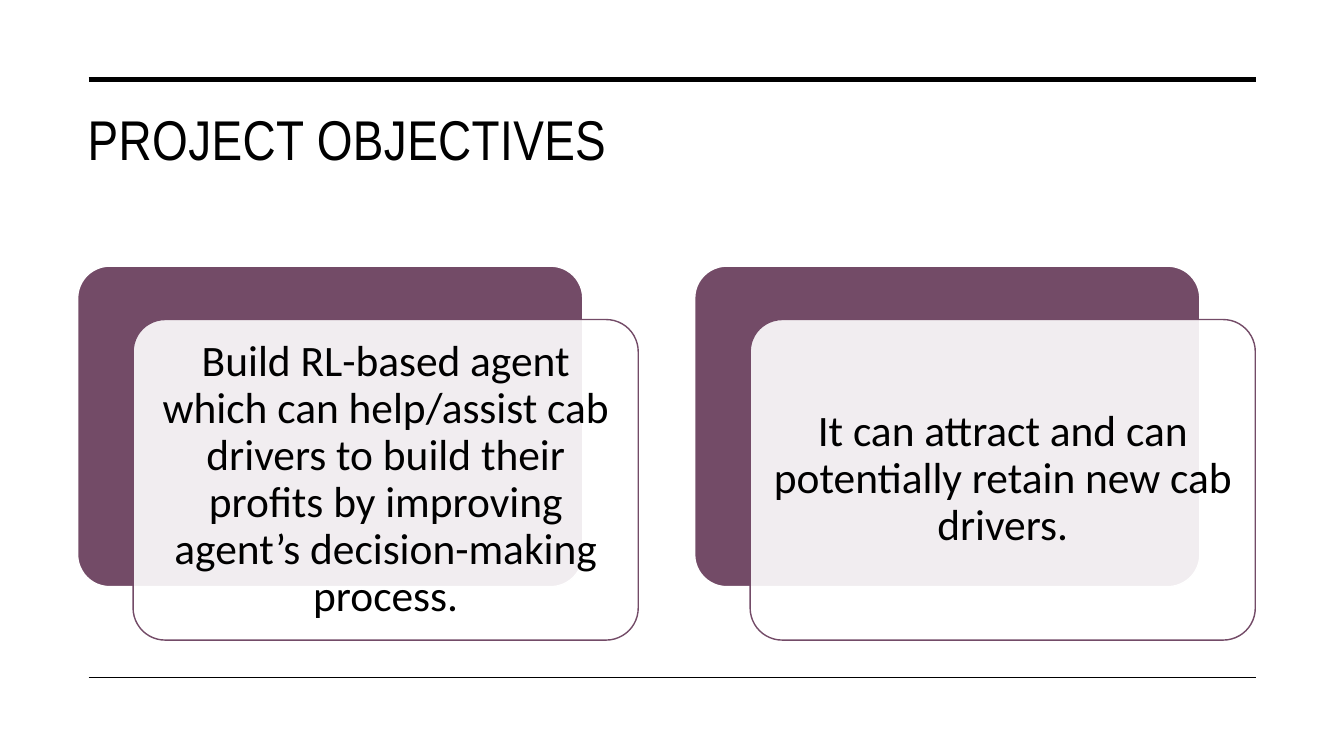
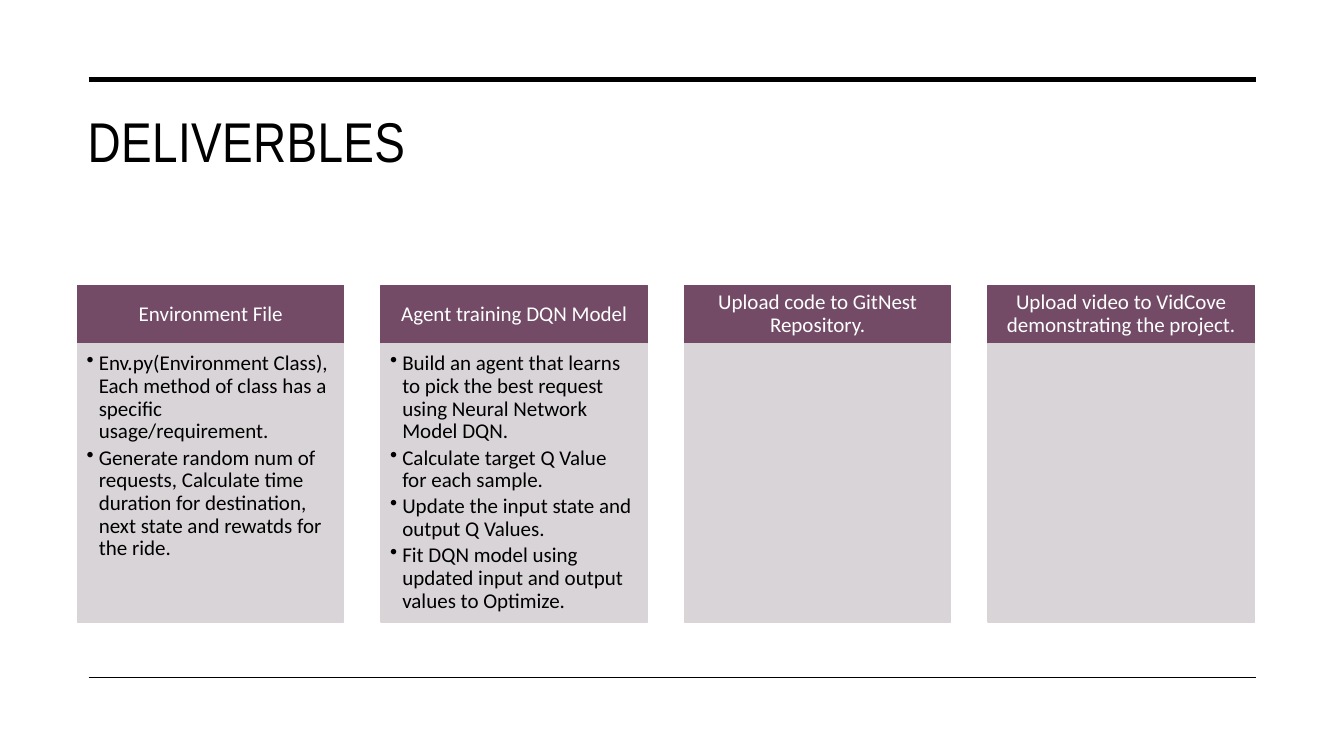
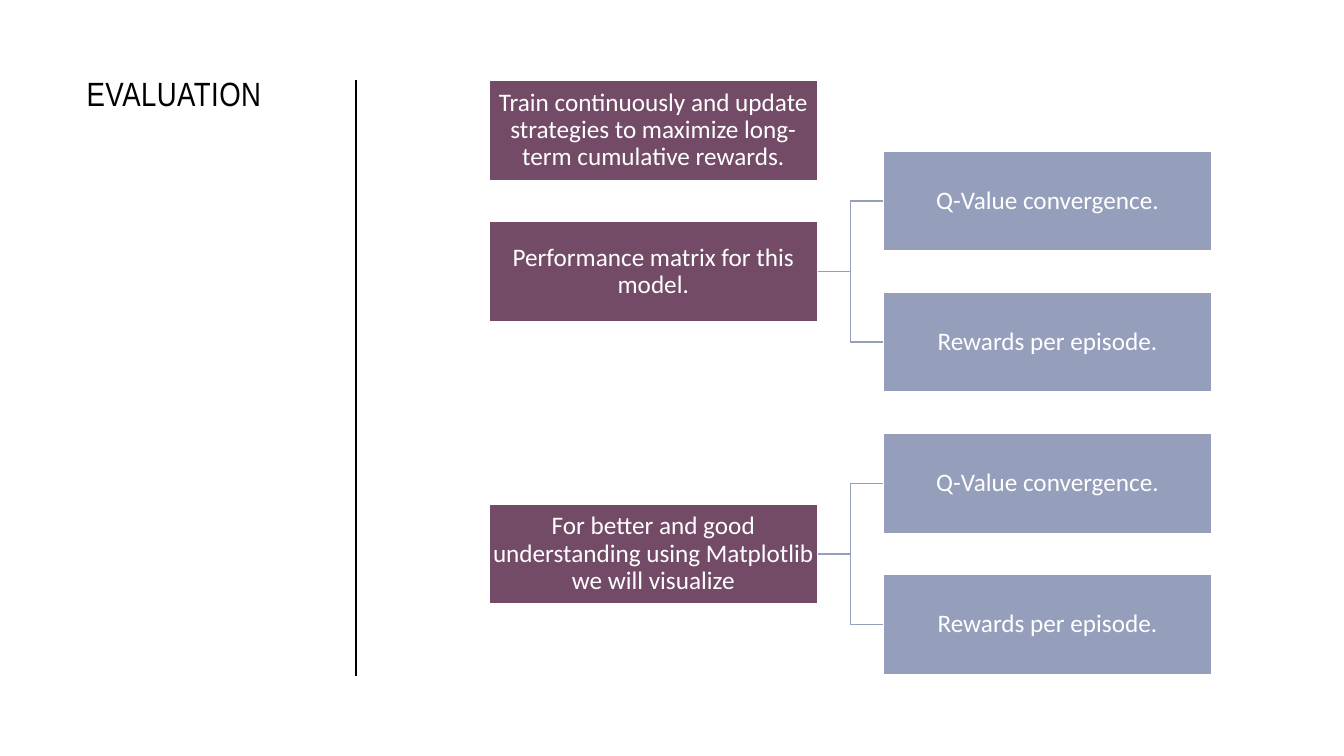
"""Build three slides on the goals, deliverables and evaluation of a cab agent."""
from lxml import etree
from pptx import Presentation
from pptx.dml.color import RGBColor
from pptx.enum.shapes import MSO_CONNECTOR, MSO_SHAPE
from pptx.enum.text import MSO_ANCHOR, MSO_AUTO_SIZE, PP_ALIGN
from pptx.oxml.ns import qn
from pptx.util import Inches, Pt

RECT, ROUND = MSO_SHAPE.RECTANGLE, MSO_SHAPE.ROUNDED_RECTANGLE
STRAIGHT, ELBOW = MSO_CONNECTOR.STRAIGHT, MSO_CONNECTOR.ELBOW
TOP, MIDDLE = MSO_ANCHOR.TOP, MSO_ANCHOR.MIDDLE
LEFT, CENTER = PP_ALIGN.LEFT, PP_ALIGN.CENTER
NO_FIT = MSO_AUTO_SIZE.NONE

BLACK = RGBColor(0x00, 0x00, 0x00)
WHITE = RGBColor(0xFF, 0xFF, 0xFF)
PLUM = RGBColor(0x73, 0x4B, 0x67)
GREY = RGBColor(0xD5, 0xD0, 0xD3)
PALE = RGBColor(0xD9, 0xD5, 0xD7)
BLUE = RGBColor(0x95, 0x9E, 0xBB)
HEAD_FONT, BODY_FONT = "Arial Narrow", "Calibri"


def box(slide, kind, at, fill, edge, alpha=100):
    """Add a filled shape with a thin edge."""
    shape = slide.shapes.add_shape(kind, *[Inches(n) for n in at])
    shape.shadow.inherit = False
    shape.fill.solid()
    shape.fill.fore_color.rgb = fill
    shape.line.color.rgb = edge
    shape.line.width = Pt(1)
    if kind == ROUND:
        shape.adjustments[0] = 0.1
    if alpha < 100:
        tint = shape._element.spPr.find(qn("a:solidFill"))[0]
        etree.SubElement(tint, qn("a:alpha")).set("val", str(alpha * 1000))
    return shape


def write(shape, texts, size, color, pads, bullet=False):
    """Fill a shape with centred text or a bulleted list."""
    frame = shape.text_frame
    frame.word_wrap = True
    frame.vertical_anchor = TOP if bullet else MIDDLE
    (frame.margin_left, frame.margin_top,
     frame.margin_right, frame.margin_bottom) = [Inches(n) for n in pads]
    for i, text in enumerate(texts):
        para = frame.add_paragraph() if i else frame.paragraphs[0]
        para.alignment = LEFT if bullet else CENTER
        para.line_spacing = 0.9
        if bullet:
            para.space_after = Pt(2.4)
            props = para._p.get_or_add_pPr()
            props.set("marL", str(Inches(0.12)))
            props.set("indent", str(Inches(-0.12)))
            etree.SubElement(props, qn("a:buChar")).set("char", "•")
        run = para.add_run()
        run.text = text
        run.font.name = BODY_FONT
        run.font.size = Pt(size)
        run.font.color.rgb = color


deck = Presentation()
deck.slide_width, deck.slide_height = Inches(13.33), Inches(7.5)

BANDS = [((0.88, 0.79, 12.46, 0.79), 3.5), ((0.88, 6.72, 12.46, 6.72), 1)]
SIDE = [((3.53, 6.71, 3.53, 0.79), 1)]
PAGES = [
    ("PROJECT OBJECTIVES", 40, (0.77, 0.99, 11.69, 1.26), BANDS),
    ("DELIVERBLES", 40, (0.77, 1.01, 11.69, 1.5), BANDS),
    ("EVALUATION", 24, (0.76, 0.67, 2.38, 4.91), SIDE),
]
slides, links = [], []
for text, size, at, rules in PAGES:
    slide = deck.slides.add_slide(deck.slide_layouts[5])
    slides.append(slide)
    title = slide.shapes.title
    title.left, title.top, title.width, title.height = [Inches(n) for n in at]
    frame = title.text_frame
    frame.auto_size = NO_FIT
    frame.word_wrap = True
    frame.vertical_anchor = TOP
    para = frame.paragraphs[0]
    para.alignment = LEFT
    run = para.add_run()
    run.text = text
    run.font.name = HEAD_FONT
    run.font.size = Pt(size)
    run.font.color.rgb = BLACK
    run._r.get_or_add_rPr().set("spc", "30")
    for ends, width in rules:
        line = slide.shapes.add_connector(STRAIGHT, *[Inches(n) for n in ends])
        links.append((line, BLACK, width))

goals, tasks, tests = slides

GOALS = [
    "Build RL-based agent which can help/assist cab drivers to build their "
    "profits by improving agent’s decision-making process.",
    "It can attract and can potentially retain new cab drivers.",
]
for i, text in enumerate(GOALS):
    left = 0.77 + i * 6.12
    box(goals, ROUND, (left, 2.64, 5.01, 3.18), PLUM, WHITE)
    card = box(goals, ROUND, (left + 0.55, 3.17, 5.01, 3.18), WHITE, PLUM, 90)
    write(card, [text], 31, BLACK, [0.13] * 4)

TASKS = [
    ("Environment File", [
        "Env.py(Environment Class), Each method of class has a specific "
        "usage/requirement.",
        "Generate random num of requests, Calculate time duration for "
        "destination, next state and rewatds for the ride."]),
    ("Agent training DQN Model", [
        "Build an agent that learns to pick the best request using Neural "
        "Network Model DQN.",
        "Calculate target Q Value for each sample.",
        "Update the input state and output Q Values.",
        "Fit DQN model using updated input and output values to Optimize."]),
    ("Upload code to GitNest Repository.", []),
    ("Upload video to VidCove demonstrating the project.", []),
]
for i, (head, points) in enumerate(TASKS):
    left = 0.77 + i * 3.01
    top = box(tasks, RECT, (left, 2.83, 2.64, 0.58), PLUM, PLUM)
    write(top, [head], 15, WHITE, (0.12, 0.07, 0.12, 0.07))
    body = box(tasks, RECT, (left, 3.41, 2.64, 2.76), GREY, PALE, 90)
    write(body, points, 15, BLACK, (0.09, 0.09, 0.12, 0.13), True)

SIGNS = ["Q-Value convergence.", "Rewards per episode."]
TESTS = [
    (0, "Train continuously and update strategies to maximize long-term "
        "cumulative rewards.", []),
    (2, "Performance matrix for this model.", SIGNS),
    (6, "For better and good understanding using Matplotlib we will visualize",
     SIGNS),
]
for row, text, signs in TESTS:
    root = box(tests, RECT, (4.85, 0.8 + row * 0.7, 3.26, 0.99), PLUM, WHITE)
    write(root, [text], 18, WHITE, [0.01] * 4)
    for i, sign in enumerate(signs):
        high = 0.8 + (row - 1 + 2 * i) * 0.7
        leaf = box(tests, RECT, (8.76, high, 3.26, 0.99), BLUE, WHITE)
        write(leaf, [sign], 18, WHITE, [0.01] * 4)
        line = tests.shapes.add_connector(ELBOW, 0, 0, 0, 0)
        line.begin_connect(root, 3)
        line.end_connect(leaf, 1)
        links.append((line, BLUE, 1))

for line, color, width in links:
    line.line.color.rgb = color
    line.line.width = Pt(width)
    etree.SubElement(line._element.spPr, qn("a:effectLst"))

deck.save("out.pptx")
